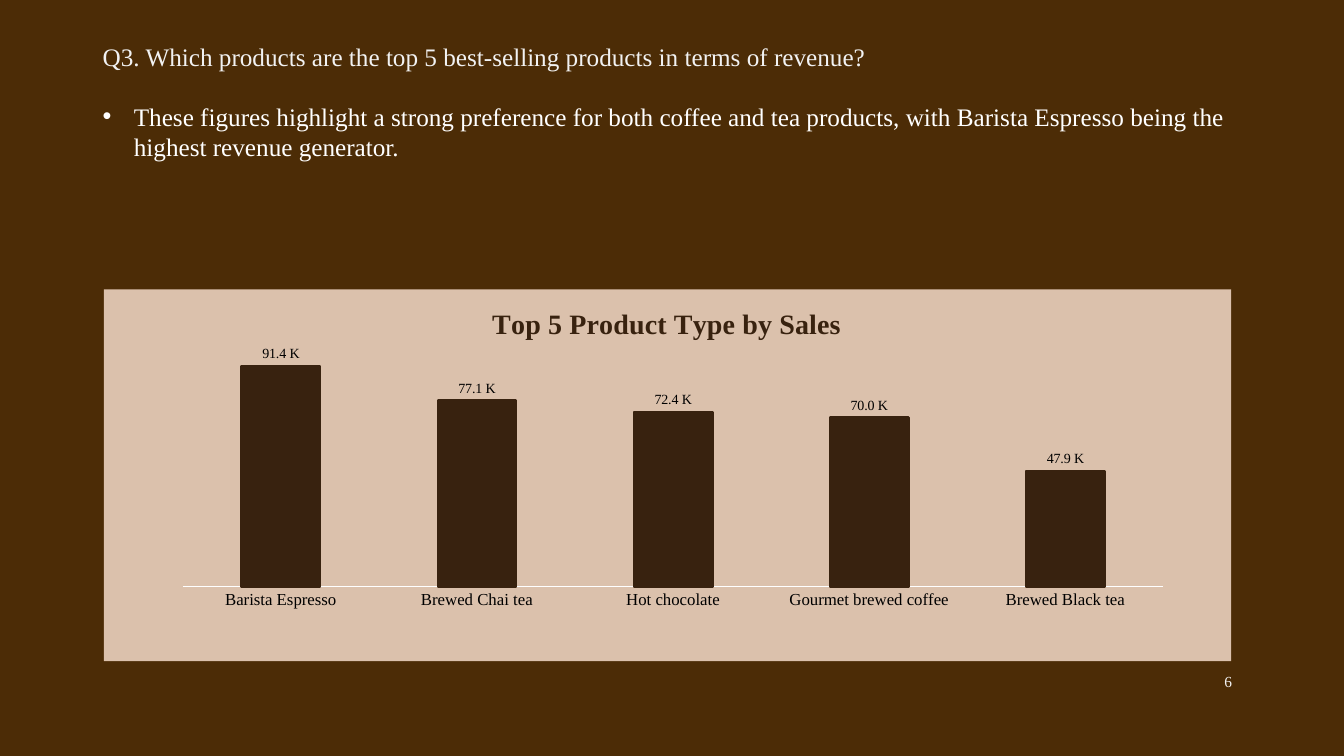
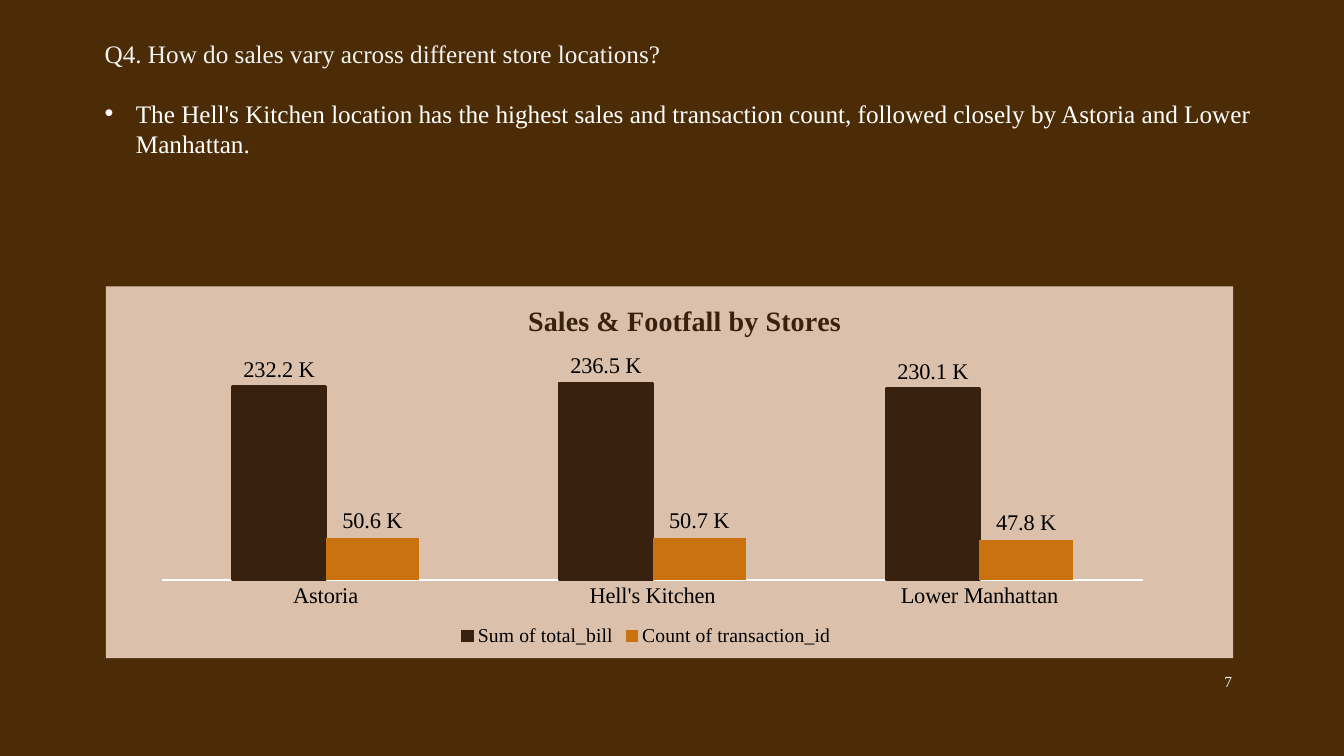
from lxml import etree
from pptx import Presentation
from pptx import util as u
from pptx.chart.data import CategoryChartData
from pptx.dml.color import RGBColor
from pptx.enum import chart as ch, text
from pptx.oxml import parse_xml
from pptx.oxml.ns import nsdecls, qn

WIDTH, HEIGHT = u.Inches(13.33), u.Inches(7.5)
COL, ROW = WIDTH / 100, HEIGHT / 100  # grid of 100 columns by 100 rows

BROWN = RGBColor(0x4C, 0x2C, 0x06)
LATTE = RGBColor(0xDB, 0xC1, 0xAC)
ESPRESSO = RGBColor(0x38, 0x22, 0x0F)
CARAMEL = RGBColor(0xCA, 0x71, 0x10)
WHITE = RGBColor(0xFF, 0xFF, 0xFF)
OFF_WHITE = RGBColor(0xF2, 0xF2, 0xF2)
BLACK = RGBColor(0, 0, 0)

FONT = "Times New Roman"
THOUSANDS = '##,##0.0,\\ "K"'
BULLET_INDENT = u.Inches(0.31)


def grid(left, top, width, height):
    return (round(left * COL), round(top * ROW),
            round(width * COL), round(height * ROW))


def style(font, size, color, bold=False):
    font.name, font.size, font.bold = FONT, u.Pt(size), bold
    font.color.rgb = color


def add_text(slide, box, anchor=text.MSO_ANCHOR.TOP):
    frame = slide.shapes.add_textbox(*box).text_frame
    frame.word_wrap = True
    frame.vertical_anchor = anchor
    return frame


def make_bullet(paragraph):
    props = paragraph._p.get_or_add_pPr()
    props.set("marL", str(BULLET_INDENT))
    props.set("indent", str(-BULLET_INDENT))
    marks = (parse_xml(f'<a:buFont {nsdecls("a")} typeface="Arial"/>'),
             parse_xml(f'<a:buChar {nsdecls("a")} char="•"/>'))
    for position, mark in enumerate(marks):
        props.insert(position, mark)


def add_question(slide, left, top, question, answer):
    frame = add_text(slide, grid(left, top, 87.3, 17.5))
    heading, finding = frame.paragraphs[0], frame.add_paragraph()
    heading.text, finding.text = question, answer
    make_bullet(finding)
    style(heading.font, 18, OFF_WHITE)
    style(finding.font, 18, WHITE)
    heading.space_after = u.Pt(21)


def add_page_number(slide, number):
    frame = add_text(slide, grid(86.27, 87.47, 6.15, 5.33),
                     text.MSO_ANCHOR.MIDDLE)
    page = frame.paragraphs[0]
    page.text = str(number)
    page.alignment = text.PP_ALIGN.RIGHT
    style(page.font, 11, OFF_WHITE)


def place(part, index, **shares):
    """Fix a chart part at shares (x, y, w, h) of the chart's size."""
    for old in part.findall(qn("c:layout")):
        part.remove(old)
    layout = parse_xml(f'<c:layout {nsdecls("c")}/>')
    manual = etree.SubElement(layout, qn("c:manualLayout"))
    if "w" in shares:
        etree.SubElement(manual, qn("c:layoutTarget"), val="inner")
    for side in "xy":
        etree.SubElement(manual, qn(f"c:{side}Mode"), val="edge")
    for side, share in shares.items():
        etree.SubElement(manual, qn(f"c:{side}"), val=str(share))
    part.insert(index, layout)


def fill_chart_area(chart, color):
    chart._chartSpace.find(qn("c:chart")).addnext(parse_xml(
        f'<c:spPr {nsdecls("c", "a")}><a:solidFill><a:srgbClr val="{color}"/>'
        '</a:solidFill><a:ln><a:noFill/></a:ln></c:spPr>'))


def add_title(chart, title, x):
    chart.has_title = True
    heading = chart.chart_title.text_frame.paragraphs[0]
    run = heading.add_run()
    run.text = title
    style(run.font, 20, ESPRESSO, bold=True)
    place(chart.chart_title._element, 1, x=x, y=0.03)


def style_axes(chart, size, maximum):
    categories, values = chart.category_axis, chart.value_axis
    categories.major_tick_mark = ch.XL_TICK_MARK.NONE
    categories.format.line.color.rgb = WHITE
    categories.format.line.width = u.Pt(0.75)
    style(categories.tick_labels.font, size, BLACK)
    values.has_major_gridlines = False
    values.minimum_scale, values.maximum_scale = 0, maximum
    values.visible = False


def style_columns(chart, label_size):
    plot = chart.plots[0]
    plot.gap_width, plot.overlap, plot.vary_by_categories = 150, 0, False
    for series, color in zip(plot.series, (ESPRESSO, CARAMEL)):
        series.format.fill.solid()
        series.format.fill.fore_color.rgb = color
        if color == ESPRESSO:
            series.format.line.color.rgb = color
            series.format.line.width = u.Pt(1.75)
        labels = series.data_labels
        labels.show_value = True
        labels.position = ch.XL_LABEL_POSITION.OUTSIDE_END
        labels.number_format = THOUSANDS
        labels.number_format_is_linked = False
        style(labels.font, label_size, BLACK)


def add_legend(chart):
    chart.has_legend = True
    legend = chart.legend
    legend.position = ch.XL_LEGEND_POSITION.BOTTOM
    legend.include_in_layout = False
    style(legend.font, 14, BLACK)
    place(legend._element, 1, x=0.31, y=0.9)


def add_columns(slide, left, top, title, title_x, categories, series,
                plot_area, axis_size, label_size, maximum):
    data = CategoryChartData(number_format=THOUSANDS)
    data.categories = categories
    for name, values in series.items():
        data.add_series(name, values)
    chart = slide.shapes.add_chart(
        ch.XL_CHART_TYPE.COLUMN_CLUSTERED,
        *grid(left, top, 83.87, 49.2), data).chart
    style(chart.font, 10, BLACK)
    fill_chart_area(chart, LATTE)
    add_title(chart, title, title_x)
    style_axes(chart, axis_size, maximum)
    style_columns(chart, label_size)
    chart.has_legend = False
    if len(series) > 1:
        add_legend(chart)
    place(chart._chartSpace.find(".//" + qn("c:plotArea")), 0, **plot_area)


def add_finding(deck, number, left, top, question, answer, **columns):
    """One slide: question, answer, chart and page number."""
    slide = deck.slides.add_slide(deck.slide_layouts[6])
    add_question(slide, left, top, question, answer)
    add_columns(slide, left + 0.83, top + 33.47, **columns)
    add_page_number(slide, number)


def main():
    deck = Presentation()
    deck.slide_width, deck.slide_height = WIDTH, HEIGHT
    backdrop = deck.slide_master.background.fill
    backdrop.solid()
    backdrop.fore_color.rgb = BROWN

    add_finding(
        deck, 6, 6.9, 4.8,
        "Q3. Which products are the top 5 best-selling products in terms of "
        "revenue?",
        "These figures highlight a strong preference for both coffee and tea "
        "products, with Barista Espresso being the highest revenue generator.",
        title="Top 5 Product Type by Sales", title_x=0.34,
        categories=["Barista Espresso", "Brewed Chai tea", "Hot chocolate",
                    "Gourmet brewed coffee", "Brewed Black tea"],
        series={"Series 1": [91400, 77100, 72400, 70000, 47900]},
        plot_area=dict(x=0.07, y=0.15, w=0.87, h=0.65),
        axis_size=12, label_size=10, maximum=100000)

    add_finding(
        deck, 7, 7.05, 4.4,
        "Q4. How do sales vary across different store locations?",
        "The Hell's Kitchen location has the highest sales and transaction "
        "count, followed closely by Astoria and Lower Manhattan.",
        title="Sales & Footfall by Stores", title_x=0.37,
        categories=["Astoria", "Hell's Kitchen", "Lower Manhattan"],
        series={"Sum of total_bill": [232200, 236500, 230100],
                "Count of transaction_id": [50600, 50700, 47800]},
        plot_area=dict(x=0.05, y=0.23, w=0.87, h=0.56),
        axis_size=16, label_size=16, maximum=250000)

    deck.save("out.pptx")


if __name__ == "__main__":
    main()
